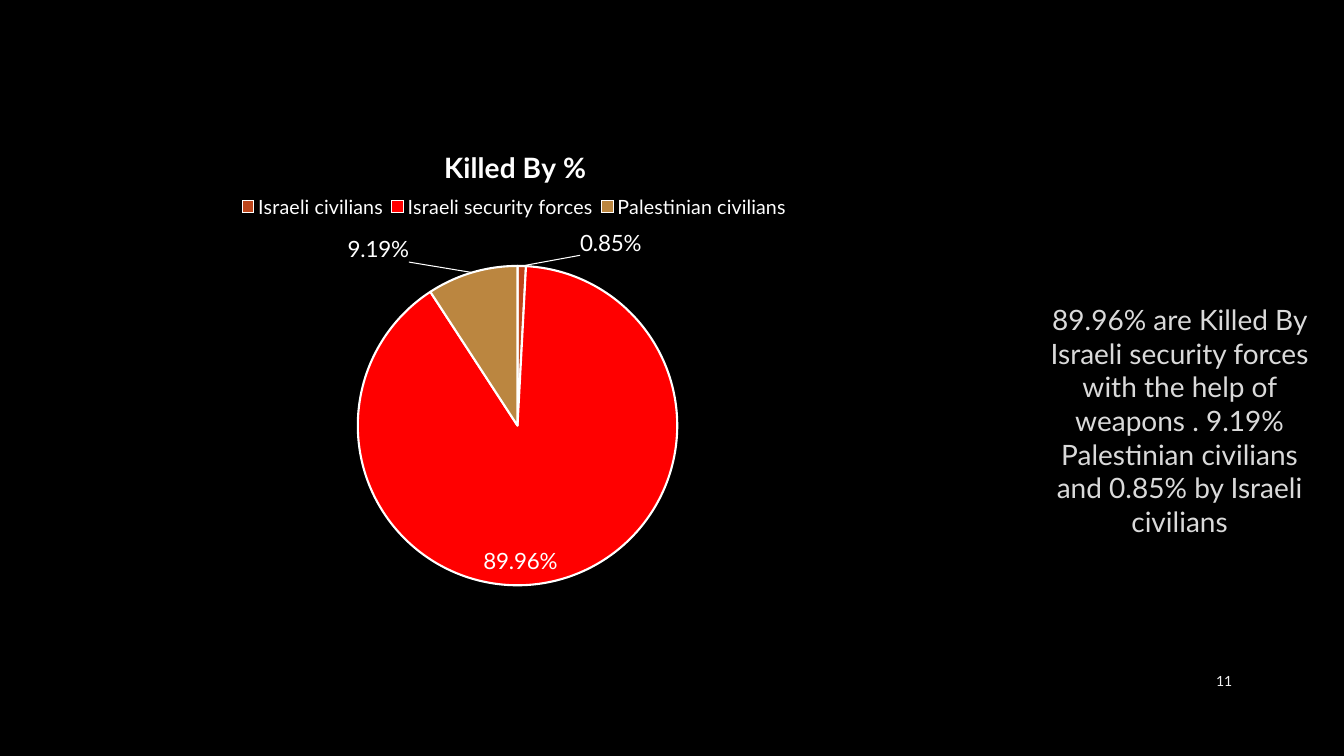
from dataclasses import dataclass

from lxml.etree import SubElement
from pptx import Presentation
from pptx.chart.chart import Chart
from pptx.chart.data import CategoryChartData
from pptx.dml.color import RGBColor
from pptx.enum.chart import XL_CHART_TYPE, XL_LABEL_POSITION, XL_LEGEND_POSITION
from pptx.enum.text import MSO_ANCHOR, PP_ALIGN
from pptx.oxml import parse_xml
from pptx.oxml.ns import nsdecls, qn
from pptx.slide import Slide
from pptx.text.text import Font
from pptx.util import Emu, Pt

EMU_PER_PX = 9144
COLORS = {
    "background": "000000",
    "white": "FFFFFF",
    "statement": "DADADA",
    "page": "F2F2F2",
}
PERCENT = "0.00%"


@dataclass(frozen=True)
class Box:
    left: int
    top: int
    width: int
    height: int

    def emu(self) -> list[Emu]:
        return [px(n) for n in (self.left, self.top, self.width, self.height)]


@dataclass(frozen=True)
class Caption:
    box: Box
    text: str
    size: int
    color: str
    align: PP_ALIGN


@dataclass(frozen=True)
class Slice:
    killer: str
    share: float
    color: str
    position: XL_LABEL_POSITION
    offset: dict[str, float]


CHART_BOX = Box(171, 122, 678, 473)
CAPTIONS = [
    Caption(
        Box(1025, 162, 290, 510),
        "89.96% are Killed By Israeli security forces with the help of weapons . "
        "9.19% Palestinian civilians and 0.85% by Israeli civilians",
        20, "statement", PP_ALIGN.CENTER,
    ),
    Caption(Box(1150, 656, 82, 40), "11", 10, "page", PP_ALIGN.RIGHT),
]
SLICES = [
    Slice("Israeli civilians", 0.0085, "BC451B",
          XL_LABEL_POSITION.OUTSIDE_END, {"x": 0.13, "y": -0.01}),
    Slice("Israeli security forces", 0.8996, "FF0000",
          XL_LABEL_POSITION.INSIDE_END, {}),
    Slice("Palestinian civilians", 0.0919, "BB8640",
          XL_LABEL_POSITION.OUTSIDE_END, {"x": -0.09, "y": -0.01}),
]


def px(length: int) -> Emu:
    return Emu(length * EMU_PER_PX)


def style_font(font: Font, size: int, color: str, bold: bool = False) -> None:
    for attribute, value in {"name": "Lato", "size": Pt(size), "bold": bold}.items():
        setattr(font, attribute, value)
    font.color.rgb = RGBColor.from_string(COLORS[color])


def place(parent, after: str | None, values: dict) -> None:
    for old in parent.findall(qn("c:layout")):
        parent.remove(old)
    layout = parse_xml(f"<c:layout {nsdecls('c')}/>")
    manual = SubElement(layout, qn("c:manualLayout"))
    for tag, value in values.items():
        SubElement(manual, qn(f"c:{tag}")).set("val", str(value))
    if after:
        parent.find(qn(after)).addnext(layout)
    else:
        parent.insert(0, layout)


def add_caption(slide: Slide, caption: Caption) -> None:
    frame = slide.shapes.add_textbox(*caption.box.emu()).text_frame
    frame.word_wrap = True
    frame.vertical_anchor = MSO_ANCHOR.MIDDLE
    paragraph = frame.paragraphs[0]
    paragraph.alignment = caption.align
    sentence = paragraph.add_run()
    sentence.text = caption.text
    style_font(sentence.font, caption.size, caption.color)


def style_slices(chart: Chart) -> None:
    shares = chart.plots[0].series[0]
    labels = shares.data_labels
    labels.show_value = True
    labels.number_format = PERCENT
    labels.number_format_is_linked = False
    style_font(labels.font, 16, "white")
    for index, part in enumerate(SLICES):
        point = shares.points[index]
        point.format.fill.solid()
        point.format.fill.fore_color.rgb = RGBColor.from_string(part.color)
        point.format.line.color.rgb = RGBColor.from_string(COLORS["white"])
        point.format.line.width = Pt(1.5)
        point.data_label.position = part.position
        style_font(point.data_label.font, 16, "white")
    for entry, part in zip(labels._element.findall(qn("c:dLbl")), SLICES):
        entry.find(qn("c:idx")).addnext(parse_xml(
            f'<c:numFmt {nsdecls("c")} formatCode="{PERCENT}" sourceLinked="0"/>'))
        if part.offset:
            place(entry, "c:idx", part.offset)
    for old in labels._element.findall(qn("c:showLeaderLines")):
        labels._element.remove(old)
    SubElement(labels._element, qn("c:showLeaderLines")).set("val", "1")
    labels._element.append(parse_xml(
        f'<c:leaderLines {nsdecls("c", "a")}><c:spPr><a:ln w="9525"><a:solidFill>'
        f'<a:srgbClr val="{COLORS["white"]}"/></a:solidFill></a:ln></c:spPr>'
        "</c:leaderLines>"))


def add_killed_by_chart(slide: Slide) -> None:
    data = CategoryChartData(number_format=PERCENT)
    data.categories = [part.killer for part in SLICES]
    data.add_series("Series 1", [part.share for part in SLICES])
    chart = slide.shapes.add_chart(
        XL_CHART_TYPE.PIE, *CHART_BOX.emu(), data).chart
    style_font(chart.font, 10, "white")
    chart.plots[0].vary_by_categories = True

    chart.has_title = True
    heading = chart.chart_title.text_frame.paragraphs[0].add_run()
    heading.text = "Killed By %"
    style_font(heading.font, 20, "white", bold=True)

    chart.has_legend = True
    chart.legend.position = XL_LEGEND_POSITION.TOP
    chart.legend.include_in_layout = False
    style_font(chart.legend.font, 14, "white")
    style_slices(chart)

    edge = {"xMode": "edge", "yMode": "edge"}
    root = chart.element.find(qn("c:chart"))
    place(root.find(qn("c:title")), "c:tx", edge | {"x": 0.39, "y": 0.04})
    place(root.find(qn("c:legend")), "c:legendPos",
          edge | {"x": 0.09, "y": 0.14, "w": 0.82, "h": 0.07})
    place(root.find(qn("c:plotArea")), None,
          {"layoutTarget": "inner"} | edge
          | {"x": 0.27, "y": 0.3, "w": 0.47, "h": 0.67})


def main() -> None:
    deck = Presentation()
    deck.slide_width, deck.slide_height = px(1333), px(750)
    slide = deck.slides.add_slide(deck.slide_layouts[6])
    slide.background.fill.solid()
    slide.background.fill.fore_color.rgb = RGBColor.from_string(COLORS["background"])
    for caption in CAPTIONS:
        add_caption(slide, caption)
    add_killed_by_chart(slide)
    deck.save("out.pptx")


if __name__ == "__main__":
    main()
